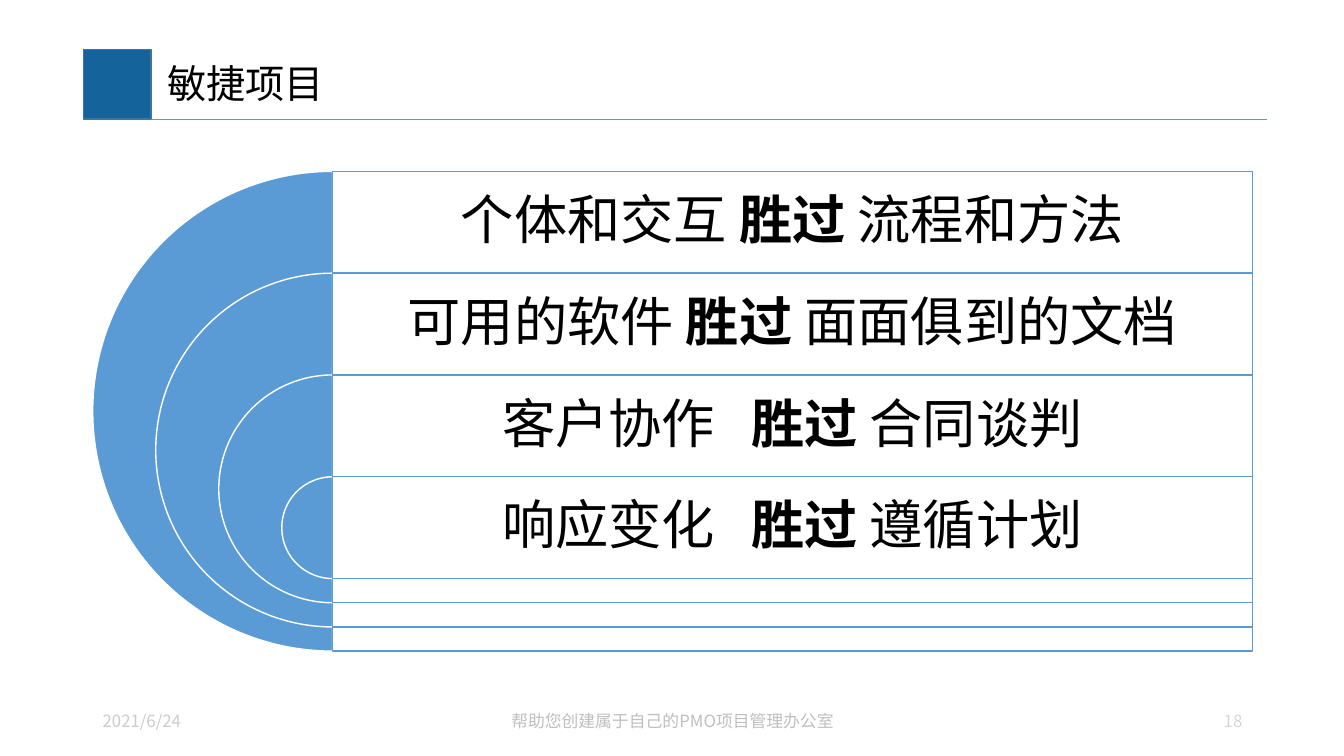
from dataclasses import dataclass

from lxml.etree import SubElement
from pptx import Presentation
from pptx.dml.color import RGBColor
from pptx.enum.shapes import MSO_CONNECTOR as Connector, MSO_SHAPE as Preset
from pptx.enum.text import MSO_ANCHOR as Anchor, PP_ALIGN as Align
from pptx.oxml.ns import qn
from pptx.util import Inches, Pt


@dataclass(frozen=True)
class Theme:
    font: str = "Noto Sans CJK SC"
    ink: str = "000000"
    paper: str = "FFFFFF"
    blue: str = "5B9BD5"
    badge: str = "15639B"
    badge_line: str = "43739E"
    date: str = "CCCCCC"
    footer: str = "BFBFBF"
    number: str = "D6D6D6"
    title_size: int = 28
    value_size: int = 38
    footer_size: int = 12


@dataclass(frozen=True)
class Box:
    left: float
    top: float
    width: float
    height: float

    def lengths(self) -> tuple:
        return tuple(map(Inches, (self.left, self.top, self.width, self.height)))


@dataclass(frozen=True)
class Value:
    preferred: str
    other: str
    extra_gap: int = 0  # points added after the preferred side


@dataclass(frozen=True)
class FooterItem:
    box: Box
    text: str
    color: str
    align: Align


THEME = Theme()
VALUES = [
    Value("个体和交互", "流程和方法"),
    Value("可用的软件", "面面俱到的文档"),
    Value("客户协作", "合同谈判", 17),
    Value("响应变化", "遵循计划", 17),
]
FOOTER = [
    FooterItem(Box(0.92, 6.95, 3, 0.4), "2021/6/24", THEME.date, Align.LEFT),
    FooterItem(Box(4.42, 6.95, 4.5, 0.4), "帮助您创建属于自己的PMO项目管理办公室",
               THEME.footer, Align.CENTER),
    FooterItem(Box(9.33, 6.94, 3.09, 0.42), "18", THEME.number, Align.RIGHT),
]
PANEL_LEFT, PANEL_WIDTH = 3.3, 9.12
FIRST_TOP, ROW_HEIGHT = 1.7, 1.01
OUTER_SIZE, SIZE_STEP = 4.76, 1.25


def add_filled(page, preset: Preset, box: Box, fill: str, line: str):
    shape = page.shapes.add_shape(preset, *box.lengths())
    shape.shadow.inherit = False
    shape.fill.solid()
    shape.fill.fore_color.rgb = RGBColor.from_string(fill)
    shape.line.color.rgb = RGBColor.from_string(line)
    shape.line.width = Pt(1)
    return shape


def format_para(para, size: int, color: str, align: Align) -> None:
    para.alignment = align
    para.font.size = Pt(size)
    para.font.name = THEME.font
    para.font.color.rgb = RGBColor.from_string(color)
    defaults = para._p.pPr.find(qn("a:defRPr"))
    SubElement(defaults, qn("a:ea"), typeface=THEME.font)


def set_insets(frame, left: float, top: float, right: float, bottom: float) -> None:
    frame.margin_left, frame.margin_top = Inches(left), Inches(top)
    frame.margin_right, frame.margin_bottom = Inches(right), Inches(bottom)


def add_text_frame(page, box: Box):
    frame = page.shapes.add_textbox(*box.lengths()).text_frame
    frame.word_wrap = True
    frame.vertical_anchor = Anchor.MIDDLE
    return frame


def add_header(page) -> None:
    add_filled(page, Preset.RECTANGLE, Box(0.83, 0.49, 0.67, 0.69),
               THEME.badge, THEME.badge_line)
    rule = page.shapes.add_connector(
        Connector.STRAIGHT, Inches(1.5), Inches(1.18), Inches(12.57), Inches(1.18))
    rule.line.color.rgb = RGBColor.from_string(THEME.blue)
    rule.line.width = Pt(0.5)
    SubElement(rule._element.spPr, qn("a:effectLst"))

    title = page.shapes.title
    title.left, title.top, title.width, title.height = Box(1.5, 0.5, 10.92, 0.7).lengths()
    frame = title.text_frame
    frame.text = "敏捷项目"
    frame.vertical_anchor = Anchor.MIDDLE
    set_insets(frame, 0.16, 0.05, 0.1, 0.05)
    para = frame.paragraphs[0]
    para.line_spacing = 0.9
    format_para(para, THEME.title_size, THEME.ink, Align.LEFT)


def add_value(page, index: int, value: Value) -> None:
    """Draw a half disc, its panel and the sentence in the panel's top row."""
    size = OUTER_SIZE - index * SIZE_STEP
    top = FIRST_TOP + index * ROW_HEIGHT
    disc = add_filled(page, Preset.PIE, Box(PANEL_LEFT - size / 2, top, size, size),
                      THEME.blue, THEME.paper)
    disc.adjustments[0], disc.adjustments[1] = 54, 162

    panel = add_filled(page, Preset.RECTANGLE, Box(PANEL_LEFT, top, PANEL_WIDTH, size),
                       THEME.paper, THEME.blue)
    color = panel._element.spPr.find(qn("a:solidFill"))[0]
    SubElement(color, qn("a:alpha"), val="90000")

    frame = add_text_frame(page, Box(PANEL_LEFT, top, PANEL_WIDTH, ROW_HEIGHT))
    set_insets(frame, 0.16, 0.16, 0.16, 0.16)
    para = frame.paragraphs[0]
    para.line_spacing = 0.9
    format_para(para, THEME.value_size, THEME.ink, Align.CENTER)
    preferred, gap, verb, other = (para.add_run() for _ in range(4))
    preferred.text, gap.text = value.preferred, " "
    verb.text, other.text = "胜过", f" {value.other}"
    verb.font.bold = True
    if value.extra_gap:
        gap._r.get_or_add_rPr().set("spc", str(value.extra_gap * 100))


def add_footer_item(page, item: FooterItem) -> None:
    frame = add_text_frame(page, item.box)
    frame.text = item.text
    format_para(frame.paragraphs[0], THEME.footer_size, item.color, item.align)


def main() -> None:
    deck = Presentation()
    deck.slide_width, deck.slide_height = Inches(13.33), Inches(7.5)
    page = deck.slides.add_slide(deck.slide_layouts[5])
    add_header(page)
    for index, value in enumerate(VALUES):
        add_value(page, index, value)
    for item in FOOTER:
        add_footer_item(page, item)
    deck.save("out.pptx")


if __name__ == "__main__":
    main()
